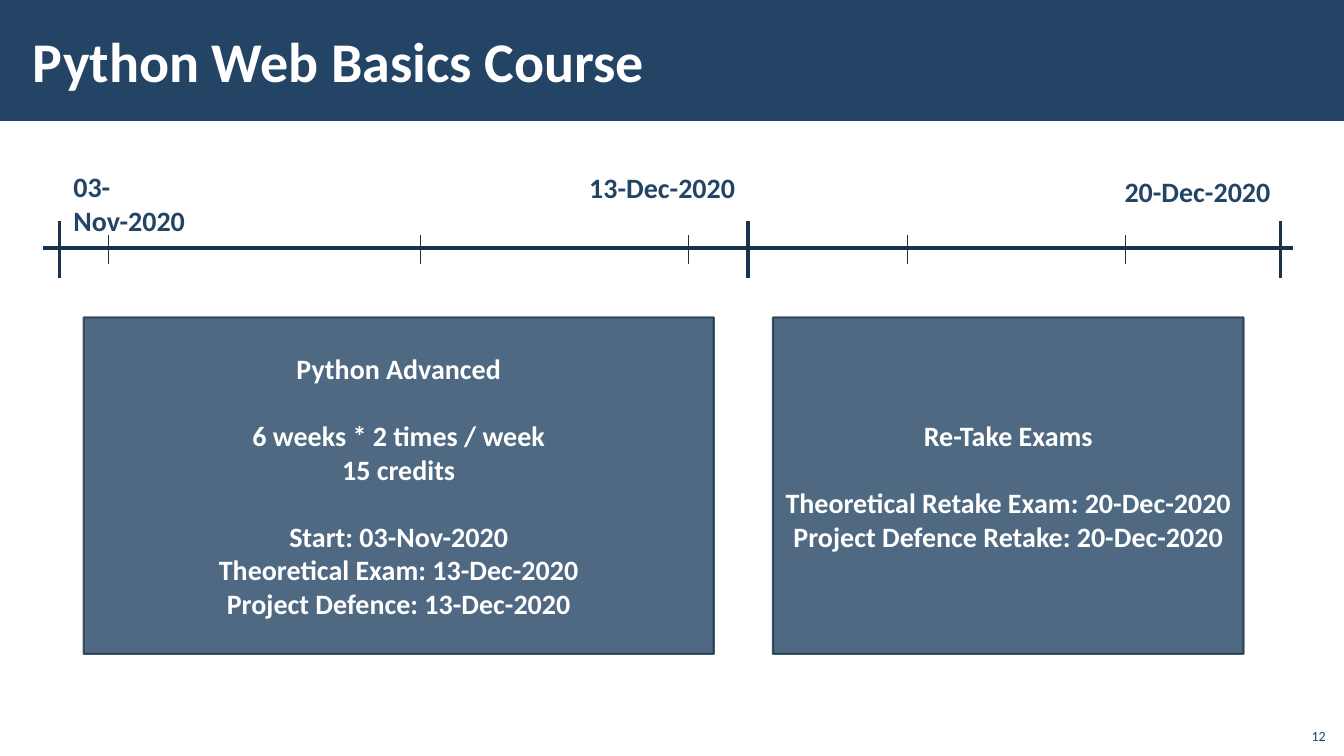
from pptx import Presentation
from pptx.dml.color import RGBColor
from pptx.enum.shapes import MSO_CONNECTOR, MSO_SHAPE
from pptx.enum.text import MSO_ANCHOR, PP_ALIGN
from pptx.oxml.ns import qn
from pptx.util import Cm, Pt
from lxml.etree import SubElement

NAVY = RGBColor(0x23, 0x44, 0x65)
DARK_NAVY = RGBColor(0x1A, 0x33, 0x4C)
WHITE = RGBColor(0xFF, 0xFF, 0xFF)


class SlideBuilder:
    """Holds the style and the current slide; lengths are centimetres."""

    font_name = "Calibri"
    body_size = 20
    paragraph_gap = Pt(24)

    def __init__(self, slide):
        self.slide = slide

    def fill_text(self, shape, groups, size, color, bold, align, anchor):
        """Set groups of lines, with a gap before each later group."""
        text_frame = shape.text_frame
        text_frame.vertical_anchor = anchor
        text_frame.text = "\n".join(line for group in groups for line in group)
        for paragraph in text_frame.paragraphs:
            paragraph.alignment = align
            font = paragraph.runs[0].font
            font.name, font.size, font.bold = self.font_name, Pt(size), bold
            font.color.rgb = color
        start = 0
        for group in groups[:-1]:
            start += len(group)
            text_frame.paragraphs[start].space_before = self.paragraph_gap

    def text(self, left, top, width, height, text, size=body_size, color=NAVY,
             bold=True, align=PP_ALIGN.LEFT, anchor=MSO_ANCHOR.TOP,
             wrap=True, margins=(0.25, 0.13)):
        shape = self.slide.shapes.add_textbox(Cm(left), Cm(top), Cm(width), Cm(height))
        text_frame = shape.text_frame
        text_frame.word_wrap = wrap
        text_frame.margin_left = text_frame.margin_right = Cm(margins[0])
        text_frame.margin_top = text_frame.margin_bottom = Cm(margins[1])
        self.fill_text(shape, [[text]], size, color, bold, align, anchor)

    def rectangle(self, left, top, width, height):
        shape = self.slide.shapes.add_shape(
            MSO_SHAPE.RECTANGLE, Cm(left), Cm(top), Cm(width), Cm(height))
        shape.shadow.inherit = False
        shape.fill.solid()
        shape.fill.fore_color.rgb = NAVY
        shape.line.fill.background()
        return shape

    def card(self, left, top, width, height, groups):
        shape = self.rectangle(left, top, width, height)
        shape.line.color.rgb = DARK_NAVY
        shape.line.width = Pt(1.5)
        # Fill and outline are both 80 % opaque
        for color in shape._element.spPr.iter(qn("a:srgbClr")):
            SubElement(color, qn("a:alpha"), val="80000")
        shape.text_frame.word_wrap = True
        self.fill_text(shape, groups, self.body_size, WHITE, True,
                       PP_ALIGN.CENTER, MSO_ANCHOR.MIDDLE)

    def line(self, x1, y1, x2, y2, width):
        connector = self.slide.shapes.add_connector(
            MSO_CONNECTOR.STRAIGHT, Cm(x1), Cm(y1), Cm(x2), Cm(y2))
        connector.line.color.rgb = DARK_NAVY
        connector.line.width = Pt(width)
        SubElement(connector._element.spPr, qn("a:effectLst"))

    def tick(self, x, center, half_height, width):
        self.line(x, center - half_height, x, center + half_height, width)


presentation = Presentation()
presentation.slide_width, presentation.slide_height = Cm(33.87), Cm(19.05)
builder = SlideBuilder(presentation.slides.add_slide(presentation.slide_layouts[6]))

# Title band and slide number
builder.rectangle(0, 0, 33.87, 3.05)
builder.text(0.53, 0.28, 27, 2.46, "Python Web Basics Course", size=40,
             color=WHITE, anchor=MSO_ANCHOR.MIDDLE, margins=(0.3, 0.1))
builder.text(32.64, 18.08, 1.02, 0.81, "12", size=10, bold=False,
             align=PP_ALIGN.RIGHT, anchor=MSO_ANCHOR.BOTTOM)

# Timeline: axis, milestone ticks, minor ticks
AXIS_Y = 6.25
builder.line(1.09, AXIS_Y, 32.59, AXIS_Y, 2.25)
for x in (1.5, 18.85, 32.28):
    builder.tick(x, AXIS_Y + 0.03, 0.72, 2.25)
for x in (2.74, 10.59, 17.35, 22.86, 28.37):
    builder.tick(x, AXIS_Y + 0.03, 0.36, 0.5)

# Milestone dates
for left, top, date in ((1.6, 4.14, "03-Nov-2020"),
                        (14.6, 4.17, "13-Dec-2020"),
                        (28.09, 4.27, "20-Dec-2020")):
    builder.text(left, top, 4.22, 1.12, date, wrap=False)

# Course and retake cards
CARD_TOP, CARD_HEIGHT = 8, 8.48
builder.card(2.11, CARD_TOP, 15.88, CARD_HEIGHT, [
    ["Python Advanced"],
    ["6 weeks * 2 times / week", "15 credits"],
    ["Start: 03-Nov-2020", "Theoretical Exam: 13-Dec-2020",
     "Project Defence: 13-Dec-2020"],
])
builder.card(19.48, CARD_TOP, 11.86, CARD_HEIGHT, [
    ["Re-Take Exams"],
    ["Theoretical Retake Exam: 20-Dec-2020",
     "Project Defence Retake: 20-Dec-2020"],
])

presentation.save("out.pptx")
